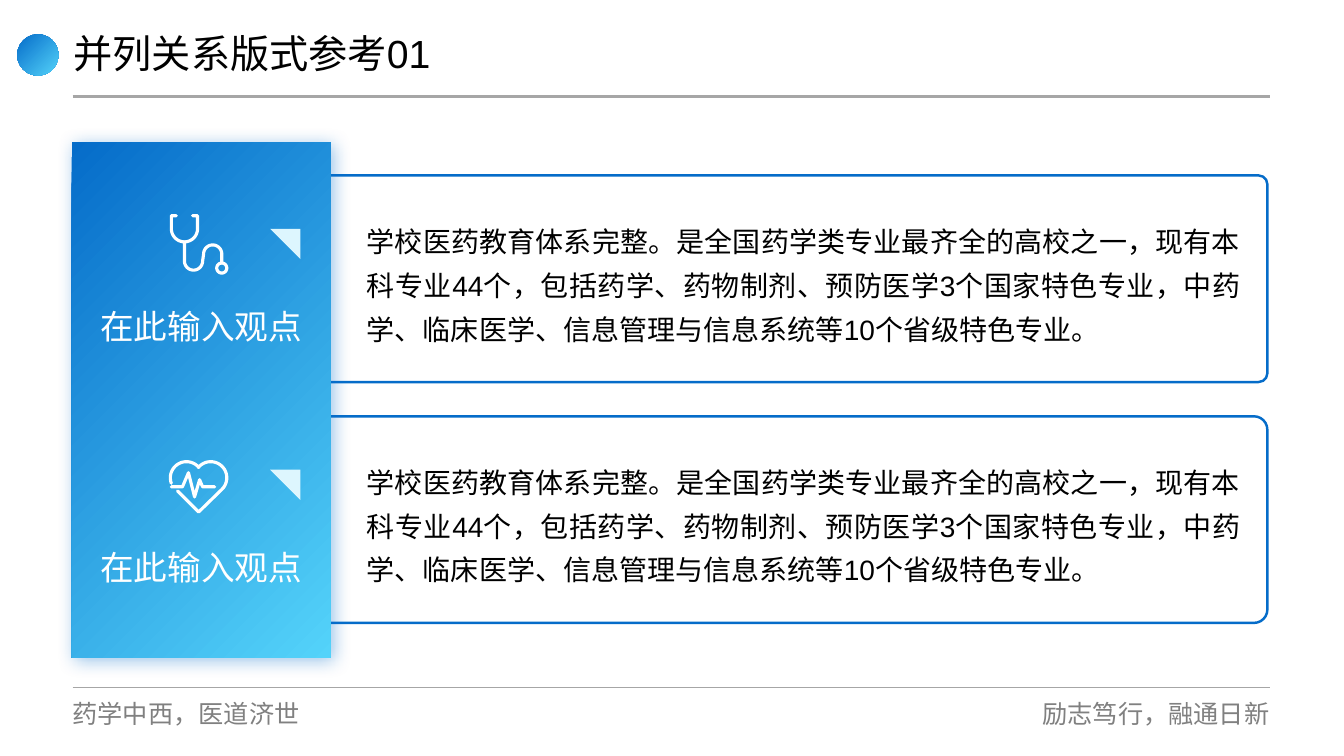
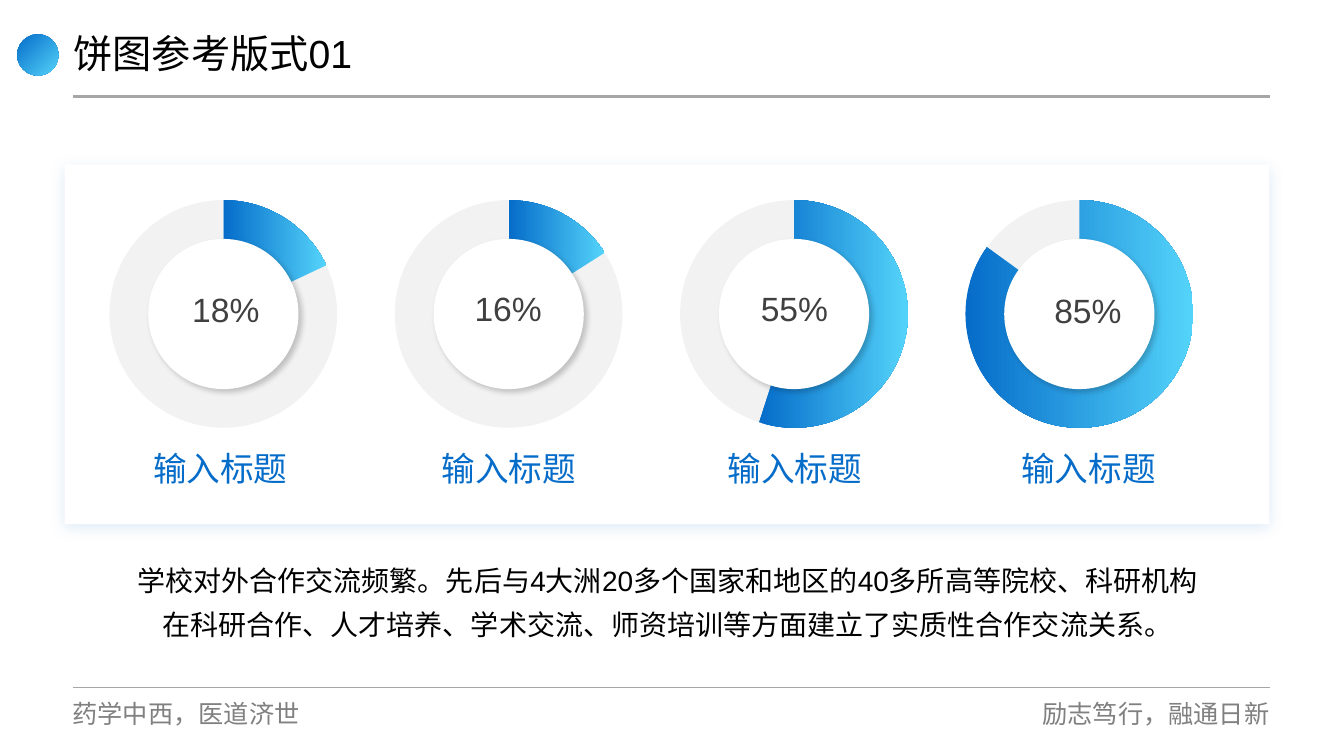
from itertools import groupby
from math import cos, radians, sin

from lxml.etree import SubElement
from pptx import Presentation
from pptx.chart.data import CategoryChartData
from pptx.dml.color import RGBColor
from pptx.enum.chart import XL_CHART_TYPE
from pptx.enum.shapes import MSO_CONNECTOR, MSO_SHAPE
from pptx.enum.text import MSO_ANCHOR, MSO_AUTO_SIZE, PP_ALIGN
from pptx.oxml import parse_xml
from pptx.oxml.ns import nsdecls, qn
from pptx.util import Emu, Pt

PX = 9144  # 100 px to the inch
LATIN, CHINESE = "Arial", "Noto Sans CJK SC"
COLORS = {
    "blue": "056CC9", "sky": "54D3FA", "pale": "DDF6FE", "white": "FFFFFF",
    "black": "000000", "dark": "404040", "gray": "808080", "rule": "A6A6A6",
    "track": "F2F2F2",
}
LEFT, RIGHT = 72, 1260
ROW_PITCH, RING_PITCH = 239, 283


def px(*lengths):
    return [Emu(round(length * PX)) for length in lengths]


def color(name):
    return RGBColor.from_string(COLORS[name])


# Fills, lines and shadows
def fill_solid(fill, name):
    fill.solid()
    fill.fore_color.rgb = color(name)


def fill_gradient(fill, angle):
    fill.gradient()
    fill.gradient_angle = angle
    for stop, name in zip(fill.gradient_stops, ("blue", "sky")):
        stop.color.rgb = color(name)


def set_line(line, name, width):
    fill_solid(line.fill, name)
    line.width = Pt(width)


def add_shadow(shape, name, alpha, blur, distance, angle):
    effects = shape.element.spPr.find(qn("a:effectLst"))
    shadow = SubElement(effects, qn("a:outerShdw"), blurRad=str(Pt(blur)),
                        dist=str(Pt(distance)), dir=str(angle * 60000),
                        algn="ctr", rotWithShape="0")
    tint = SubElement(shadow, qn("a:srgbClr"), val=COLORS[name])
    SubElement(tint, qn("a:alpha"), val=str(alpha * 1000))


# Text
def write_text(para, text, size, name, align=PP_ALIGN.LEFT, spacing=1.0):
    para.alignment = align
    para.line_spacing = spacing
    for is_latin, letters in groupby(text, key=str.isascii):
        span = para.add_run()
        span.text = "".join(letters)
        span.font.size = Pt(size)
        span.font.color.rgb = color(name)
        span.font.name = LATIN if is_latin else CHINESE
        SubElement(span.font.element if hasattr(span.font, "element")
                   else span._r.get_or_add_rPr(), qn("a:ea"), typeface=CHINESE)


def set_insets(frame, left, top, right, bottom):
    (frame.margin_left, frame.margin_top,
     frame.margin_right, frame.margin_bottom) = px(left, top, right, bottom)


def add_text(slide, bounds, text, size, name, align=PP_ALIGN.CENTER,
             spacing=1.0, insets=(10, 5, 10, 5)):
    box = slide.shapes.add_textbox(*px(*bounds))
    box.text_frame.word_wrap = True
    set_insets(box.text_frame, *insets)
    write_text(box.text_frame.paragraphs[0], text, size, name, align, spacing)
    return box


# Shapes and lines
def add_box(slide, kind, bounds, fill="white"):
    box = slide.shapes.add_shape(kind, *px(*bounds))
    box.shadow.inherit = False
    box.line.fill.background()
    if fill == "gradient":
        fill_gradient(box.fill, 315)
    else:
        fill_solid(box.fill, fill)
    return box


def add_rule(slide, top, width):
    rule = slide.shapes.add_connector(MSO_CONNECTOR.STRAIGHT,
                                      *px(LEFT, top, RIGHT, top))
    set_line(rule.line, "rule", width)
    SubElement(rule.element.spPr, qn("a:effectLst"))
    return rule


def arc(center_x, center_y, radius, start, end, steps=24):
    angles = [radians(start + (end - start) * step / steps)
              for step in range(steps + 1)]
    return [(center_x + radius * cos(angle), center_y + radius * sin(angle))
            for angle in angles]


def add_stroke(slide, points, shift):
    points = [px(x, y + shift) for x, y in points]
    builder = slide.shapes.build_freeform(*points[0], scale=1.0)
    builder.add_line_segments(points[1:], close=False)
    stroke = builder.convert_to_shape()
    stroke.shadow.inherit = False
    stroke.fill.background()
    set_line(stroke.line, "white", 2.25)
    stroke.element.spPr.find(qn("a:ln")).set("cap", "rnd")


STETHOSCOPE = [
    [(175, 214), (170, 214), *arc(183, 227, 13, 180, 0), (196, 214), (191, 214)],
    [(183, 240), *arc(192, 259, 9, 180, 0), *arc(211, 252, 9, 180, 360),
     (220, 261)],
    arc(220, 266, 5, 0, 360),
]
HEARTBEAT = [
    [*arc(185, 235, 16, 160, 320), *arc(209, 235, 16, 220, 405),
     (197, 269), (176, 248)],
    [(170, 244), (181, 244), (187, 230), (193, 254), (198, 237), (201, 244),
     (213, 244)],
]


# Shared frame: rules, mottoes, emblem and title place
def build_frame(slide, layout):
    parts = [
        add_rule(slide, 96, 2.25),
        add_rule(slide, 682, 0.5),
        add_text(slide, (LEFT, 693, 264, 30), "药学中西，医道济世", 18, "gray",
                 PP_ALIGN.LEFT, insets=(0, 0, 0, 0)),
        add_text(slide, (995, 693, 264, 30), "励志笃行，融通日新", 18, "gray",
                 PP_ALIGN.RIGHT, insets=(0, 0, 0, 0)),
        add_box(slide, MSO_SHAPE.OVAL, (17, 34, 41, 41), "gradient"),
    ]
    for number, part in enumerate(parts, 101):
        part.element.xpath(".//p:cNvPr")[0].set("id", str(number))
        layout.shapes.element.append(part.element)
    title = layout.placeholders[0]
    title.left, title.top, title.width, title.height = px(73, 24, 861, 62)


def set_title(slide, text):
    frame = slide.shapes.title.text_frame
    frame.auto_size = MSO_AUTO_SIZE.NONE
    frame.vertical_anchor = MSO_ANCHOR.MIDDLE
    set_insets(frame, 0, 5, 0, 5)
    write_text(frame.paragraphs[0], text, 28, "black", spacing=0.9)


# Slide 1: two parallel points
def build_points(slide):
    set_title(slide, "并列关系版式参考01")
    body = ("学校医药教育体系完整。是全国药学类专业最齐全的高校之一，现有本科专业44个，"
            "包括药学、药物制剂、预防医学3个国家特色专业，中药学、临床医学、"
            "信息管理与信息系统等10个省级特色专业。")
    shifts = (0, ROW_PITCH)
    for shift, corner in zip(shifts, (0.043, 0.065)):
        card = add_box(slide, MSO_SHAPE.ROUNDED_RECTANGLE,
                       (LEFT, 174 + shift, 1185, 205))
        card.adjustments[0] = corner
        set_line(card.line, "blue", 1.75)
    panel = add_box(slide, MSO_SHAPE.RECTANGLE, (71, 141, 257, 511), "gradient")
    add_shadow(panel, "blue", 40, 13, 3, 45)
    for shift, icon in zip(shifts, (STETHOSCOPE, HEARTBEAT)):
        add_text(slide, (354, 208 + shift, 886, 137), body, 20, "black",
                 PP_ALIGN.JUSTIFY, 1.3)
        add_text(slide, (82, 299 + shift, 235, 50), "在此输入观点", 24, "white")
        marker = add_box(slide, MSO_SHAPE.RIGHT_TRIANGLE,
                         (268, 227 + shift, 30, 30), "pale")
        marker.rotation = 180
        for points in icon:
            add_stroke(slide, points, shift)


# Slide 2: four ring charts
def add_ring(slide, left, share):
    data = CategoryChartData()
    data.categories = ["1", "2"]
    data.add_series("Series 1", (share, 100 - share))
    chart = slide.shapes.add_chart(XL_CHART_TYPE.DOUGHNUT,
                                   *px(left, 186, 377, 251), data).chart
    chart.has_legend = chart.has_title = False
    chart.font.size, chart.font.name = Pt(10), LATIN
    chart.font.color.rgb = color("black")
    plot = chart.plots[0]
    plot.has_data_labels = False
    plot.vary_by_categories = True
    points = plot.series[0].points
    fill_gradient(points[0].format.fill, 0)
    fill_solid(points[1].format.fill, "track")
    for index in range(2):
        points[index].format.line.fill.background()
    chart.element.xpath(".//c:holeSize")[0].set("val", "70")
    # Fixed plot area
    area = chart.element.xpath(".//c:plotArea")[0]
    for layout in area.findall(qn("c:layout")):
        area.remove(layout)
    places = "".join(f'<c:{key} val="{value}"/>' for key, value in (
        ("layoutTarget", "inner"), ("xMode", "edge"), ("yMode", "edge"),
        ("x", 0.2), ("y", 0.05), ("w", 0.6), ("h", 0.9)))
    area.insert(0, parse_xml(f'<c:layout {nsdecls("c")}><c:manualLayout>'
                             f'{places}</c:manualLayout></c:layout>'))


def build_rings(slide):
    set_title(slide, "饼图参考版式01")
    card = add_box(slide, MSO_SHAPE.RECTANGLE, (64, 163, 1195, 357))
    add_shadow(card, "blue", 12, 10, 3, 90)
    # Share, left and top of the number, left of the caption
    rings = [(18, 157, 282, 108), (16, 437, 281, 394),
             (55, 721, 281, 678), (85, 1012, 283, 969)]
    for index, (share, number_left, number_top, caption_left) in enumerate(rings):
        shift = index * RING_PITCH
        add_ring(slide, 33 + shift, share)
        disc = add_box(slide, MSO_SHAPE.OVAL, (147 + shift, 237, 149, 149))
        add_shadow(disc, "black", 20, 4, 3, 45)
        add_text(slide, (number_left, number_top, 134, 50), f"{share}%", 24, "dark")
        add_text(slide, (caption_left, 439, 221, 50), "输入标题", 24, "blue")
    add_text(slide, (133, 544, 1068, 94),
             "学校对外合作交流频繁。先后与4大洲20多个国家和地区的40多所高等院校、"
             "科研机构在科研合作、人才培养、学术交流、师资培训等方面建立了"
             "实质性合作交流关系。",
             20, "black", spacing=1.3, insets=(0, 5, 10, 5))


def main():
    deck = Presentation()
    deck.slide_width, deck.slide_height = px(1333, 750)
    layout = deck.slide_layouts[5]
    pages = [deck.slides.add_slide(layout) for _ in range(2)]
    build_frame(pages[0], layout)
    build_points(pages[0])
    build_rings(pages[1])
    deck.save("out.pptx")


if __name__ == "__main__":
    main()
